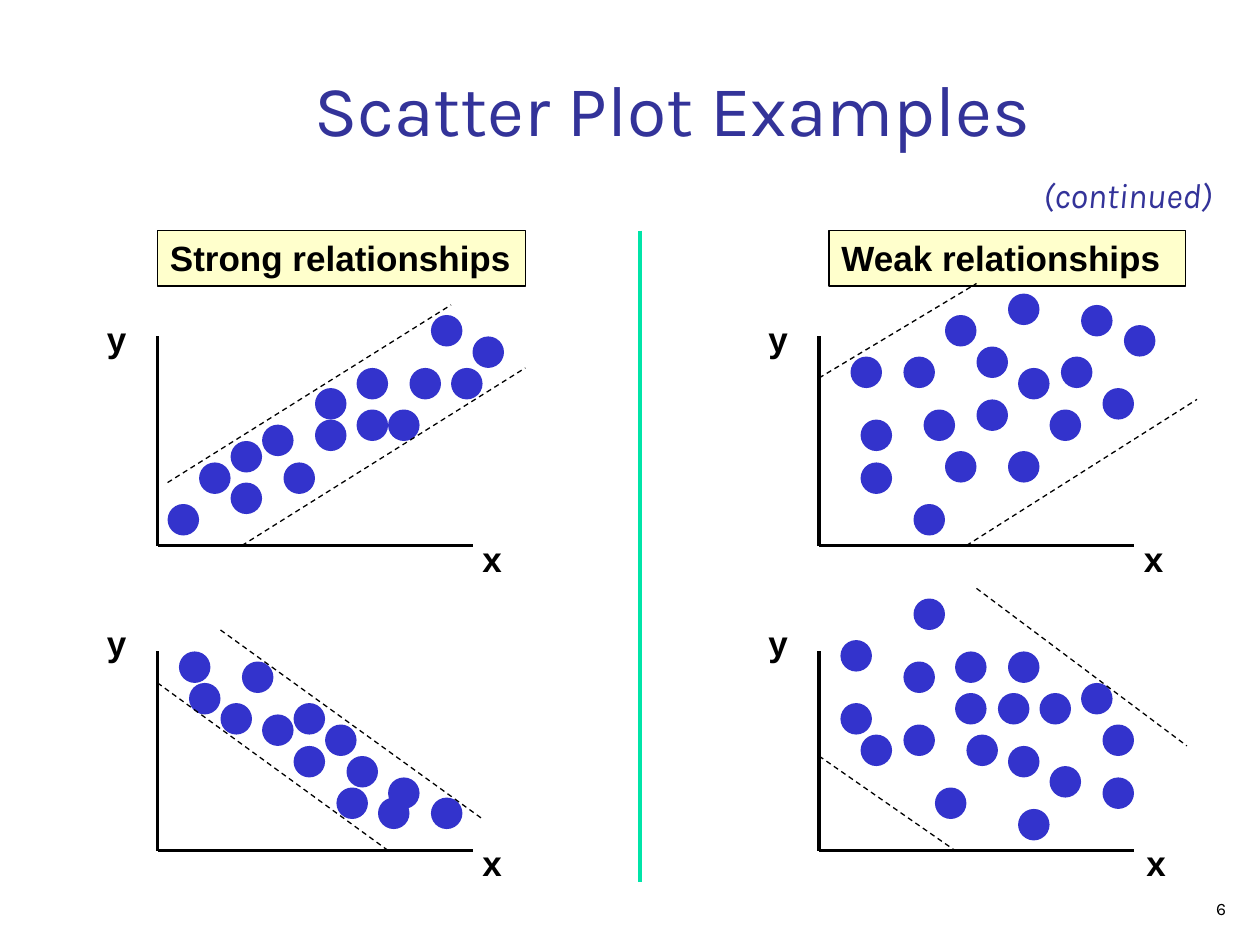
from pptx import Presentation
from pptx.dml.color import RGBColor
from pptx.enum.dml import MSO_LINE
from pptx.enum.shapes import MSO_CONNECTOR, MSO_SHAPE
from pptx.enum.text import MSO_ANCHOR, MSO_AUTO_SIZE, PP_ALIGN
from pptx.oxml.ns import qn
from pptx.util import Inches, Pt

LEFT, CENTER, RIGHT = PP_ALIGN.LEFT, PP_ALIGN.CENTER, PP_ALIGN.RIGHT
TOP, BOTTOM = MSO_ANCHOR.TOP, MSO_ANCHOR.BOTTOM
FIT, FIXED = MSO_AUTO_SIZE.SHAPE_TO_FIT_TEXT, MSO_AUTO_SIZE.NONE
RECT, OVAL = MSO_SHAPE.RECTANGLE, MSO_SHAPE.OVAL
STRAIGHT, DASH = MSO_CONNECTOR.STRAIGHT, MSO_LINE.DASH

COLORS = {"ink": "000000", "title": "333399", "dot": "3333CC",
          "head": "FFFFCC", "rule": "00E4A8"}
DOT = 0.25
AXIS = 2.5

# Each plot: origin, top of the y axis, label places, dots, dashed bounds
PLOTS = [
    {"zero": (1.25, 4.33), "top": 2.67, "y": (0.75, 2.47), "x": (3.73, 4.22),
     "dots": [(1.33, 4), (1.58, 3.67), (1.83, 3.5), (1.83, 3.83),
              (2.08, 3.37), (2.25, 3.67), (2.5, 3.08), (2.5, 3.33),
              (2.83, 2.92), (2.83, 3.25), (3.08, 3.25), (3.25, 2.92),
              (3.42, 2.5), (3.58, 2.92), (3.75, 2.67)],
     "bounds": [((1.33, 3.83), (3.58, 2.42)), ((1.92, 4.33), (4.17, 2.92))]},
    {"zero": (1.25, 6.75), "top": 5.17, "y": (0.75, 4.88), "x": (3.73, 6.63),
     "dots": [(1.42, 5.17), (1.5, 5.42), (1.75, 5.58), (1.92, 5.25),
              (2.08, 5.67), (2.33, 5.58), (2.33, 5.92), (2.58, 5.75),
              (2.67, 6.25), (2.75, 6), (3, 6.33), (3.08, 6.17),
              (3.42, 6.33)],
     "bounds": [((1.75, 5), (3.83, 6.5)), ((1.25, 5.42), (3.08, 6.75))]},
    {"zero": (6.5, 4.33), "top": 2.67, "y": (6, 2.47), "x": (8.98, 4.22),
     "dots": [(6.75, 2.83), (6.83, 3.33), (6.83, 3.67), (7.17, 2.83),
              (7.25, 4), (7.33, 3.25), (7.5, 2.5), (7.5, 3.58),
              (7.75, 2.75), (7.75, 3.17), (8, 2.33), (8, 3.58),
              (8.08, 2.92), (8.33, 3.25), (8.42, 2.83), (8.58, 2.42),
              (8.75, 3.08), (8.92, 2.58)],
     "bounds": [((6.5, 3), (7.75, 2.25)), ((7.67, 4.33), (9.5, 3.17))]},
    {"zero": (6.5, 6.75), "top": 5.17, "y": (6, 4.88), "x": (9, 6.63),
     "dots": [(6.67, 5.08), (6.67, 5.58), (6.83, 5.83), (7.17, 5.25),
              (7.17, 5.75), (7.25, 4.75), (7.42, 6.25), (7.58, 5.17),
              (7.58, 5.5), (7.67, 5.83), (7.92, 5.5), (8, 5.17),
              (8, 5.92), (8.08, 6.42), (8.25, 5.5), (8.33, 6.08),
              (8.58, 5.42), (8.75, 5.75), (8.75, 6.17)],
     "bounds": [((7.75, 4.67), (9.42, 5.92)), ((6.5, 6), (7.58, 6.75))]},
]


def color(name):
    return RGBColor.from_string(COLORS[name])


def place(x, y, wide, high):
    return [Inches(n) for n in (x, y, wide, high)]


def put_text(shape, text, size=20, font="Arial", ink="ink", bold=False,
             italic=False, align=LEFT, anchor=TOP, wrap=True, fit=FIT):
    frame = shape.text_frame
    frame.text = text
    frame.word_wrap = wrap
    frame.auto_size = fit
    frame.vertical_anchor = anchor
    frame.margin_left = frame.margin_right = Inches(0.1)
    frame.margin_top = frame.margin_bottom = Inches(0.05)
    para = frame.paragraphs[0]
    para.alignment = align
    face = para.runs[0].font
    face.name, face.size = font, Pt(size)
    face.bold, face.italic = bold, italic
    face.color.rgb = color(ink)


def add_label(slide, text, box, **style):
    put_text(slide.shapes.add_textbox(*place(*box)), text, **style)


def add_form(slide, kind, box, fill, edge=None):
    shape = slide.shapes.add_shape(kind, *place(*box))
    shape.shadow.inherit = False
    shape.fill.solid()
    shape.fill.fore_color.rgb = color(fill)
    if edge:
        shape.line.color.rgb = color(edge)
        shape.line.width = Pt(1)
    else:
        shape.line.fill.background()
    return shape


def add_line(slide, start, end, width=2, ink="ink", dash=None):
    line = slide.shapes.add_connector(STRAIGHT, *place(*start, *end))
    line.line.color.rgb = color(ink)
    line.line.width = Pt(width)
    if dash:
        line.line.dash_style = dash
    props = line._element.spPr
    props.append(props.makeelement(qn("a:effectLst"), {}))


def add_plot(slide, plot):
    left, base = plot["zero"]
    add_line(slide, (left, plot["top"]), (left, base))
    add_line(slide, (left, base), (left + AXIS, base))
    for name in "yx":
        add_label(slide, name, (*plot[name], 0.35, 0.44),
                  bold=True, wrap=False)
    for spot in plot["dots"]:
        add_form(slide, OVAL, (*spot, DOT, DOT), "dot")


def main():
    deck = Presentation()
    deck.slide_width, deck.slide_height = Inches(10), Inches(7.5)
    slide = deck.slides.add_slide(deck.slide_layouts[5])

    # Title
    title = slide.shapes.title
    title.left, title.top, title.width, title.height = place(
        1.08, 0.42, 8.52, 0.83)
    put_text(title, "Scatter Plot Examples", size=41, font="Karla",
             ink="title", align=CENTER, anchor=BOTTOM, fit=FIXED)
    add_label(slide, "(continued)", (8.18, 1.33, 1.59, 0.44), font="Karla",
              ink="title", italic=True, wrap=False)

    # Scatter plots
    for plot in PLOTS:
        add_plot(slide, plot)

    # Column heads and divider
    for text, x, wide in (("Strong relationships", 1.25, 2.92),
                          ("Weak relationships", 6.58, 2.83)):
        head = add_form(slide, RECT, (x, 1.83, wide, 0.44), "head", "ink")
        put_text(head, text, bold=True)
    add_line(slide, (5.08, 1.83), (5.08, 7), 2.25, "rule")

    # Dashed bounds, in front of the heads
    for plot in PLOTS:
        for start, end in plot["bounds"]:
            add_line(slide, start, end, 0.75, dash=DASH)

    # Page number
    add_label(slide, "6", (7.75, 7, 2.08, 0.34), size=10, font="Karla",
              align=RIGHT, anchor=BOTTOM, fit=FIXED)

    deck.save("out.pptx")


if __name__ == "__main__":
    main()
